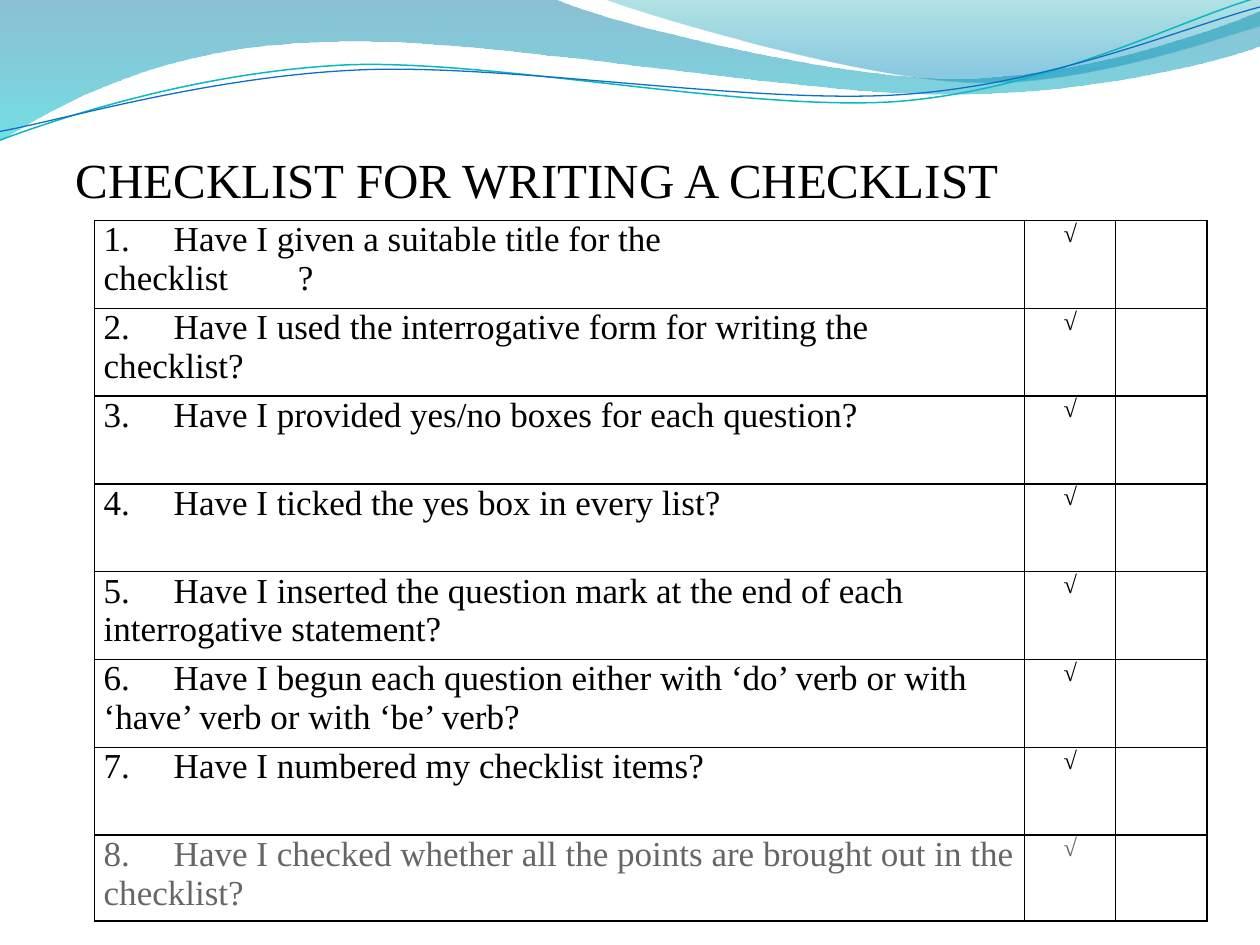
import dataclasses
import pptx
import pptx.dml.color
import pptx.enum.text
import pptx.oxml
import pptx.oxml.ns
import pptx.util

Pt = pptx.util.Pt
qn = pptx.oxml.ns.qn
Align = pptx.enum.text.PP_ALIGN
Anchor = pptx.enum.text.MSO_ANCHOR


@dataclasses.dataclass(frozen=True)
class Theme:
    face: str = "Times New Roman"
    ink: str = "000000"
    grey: str = "666666"
    paper: str = "FFFFFF"
    teal: str = "0AB8BF"
    blue: str = "0F6FC6"
    back: tuple = ((0, "0074A1", 45), (1, "00C6CF", 55))
    front: tuple = ((0, "00A1A9", 30), (0.8, "008BBF", 45))
    head: int = 28
    body: int = 20
    tick: int = 14


THEME = Theme()
ITEMS = [
    ("Have I given a suitable title for the checklist\t?", 165),
    ("Have I used the interrogative form for writing the checklist?", 30),
    ("Have I provided yes/no boxes for each question?", 5),
    ("Have I ticked the yes box in every list?", 5),
    ("Have I inserted the question mark at the end of each interrogative statement?", 5),
    ("Have I begun each question either with ‘do’ verb or with ‘have’ verb or with ‘be’ verb?", 5),
    ("Have I numbered my checklist items?", 5),
    ("Have I checked whether all the points are brought out in the checklist?", 5),
]
BACK = [(0, 0), (317, -0.7), (343, 12, 478, 45, 546, 45),
        (614, 45, 690, 19, 720, 6.5), (721, 26),
        (708, 32, 626, 55, 537, 54), (448, 54, 275, 20, 185, 24),
        (93, 26, 33, 60, -0.7, 81)]
FRONT = [(345, -0.7), (366, 8, 491, 45, 554, 47),
         (616, 50, 692, 23, 720, 15), (720, 0)]
HIGH = [(-1.4, 63.1), (34.2, 51.7, 114.3, 29.4, 199.4, 29.5),
        (284.4, 30.5, 425.8, 67.2, 512, 65.2),
        (599.2, 62.3, 676, 25.9, 720.6, 15.5)]
LOW = [(-1.1, 58.1), (33.2, 53.7, 118.2, 32.6, 204.3, 32.7),
       (290.4, 32.7, 429.1, 63.3, 515.3, 61.4),
       (601.4, 59.4, 678.9, 30, 721.4, 21)]


def tint(code):
    return pptx.dml.color.RGBColor.from_string(code)


def put(thing, values):
    for name, value in values.items():
        setattr(thing, name, value)


def draw(slide, parts, close):
    dots = [(Pt(x), Pt(y)) for part in parts
            for x, y in zip(part[::2], part[1::2])]
    pen = slide.shapes.build_freeform(*dots[0])
    pen.add_line_segments(dots[1:], close=close)
    shape = pen.convert_to_shape()
    shape.shadow.inherit = False
    lines = iter(list(shape._element.iter(qn("a:lnTo"))))
    for part in parts[1:]:
        first = next(lines)
        if len(part) == 6:
            first.tag = qn("a:cubicBezTo")
            for line in (next(lines), next(lines)):
                first.append(line[0])
                line.getparent().remove(line)
    return shape


def add_wave(slide, parts, stops):
    shape = draw(slide, parts, True)
    shape.line.fill.background()
    shape.fill.gradient()
    shape.fill.gradient_angle = 270
    for stop, (place, code, alpha) in zip(shape.fill.gradient_stops, stops):
        stop.position = place
        stop.color.rgb = tint(code)
    marks = list(shape._element.spPr.iter(qn("a:srgbClr")))
    for mark, (place, code, alpha) in zip(marks, stops):
        mark.append(mark.makeelement(qn("a:alpha"), {"val": str(alpha * 1000)}))


def add_curve(slide, parts, code, width):
    shape = draw(slide, parts, False)
    shape.rotation = 357.3
    shape.fill.background()
    shape.line.color.rgb = tint(code)
    shape.line.width = Pt(width)


def write(frame, text, size, code, align=Align.LEFT):
    para = frame.paragraphs[0]
    put(para, {"text": text, "alignment": align})
    for run in para.runs:
        put(run.font, {"name": THEME.face, "size": Pt(size), "bold": False})
        run.font.color.rgb = tint(code)
    return para


def set_tabs(para, *stops):
    space = pptx.oxml.ns.nsdecls("a")
    tabs = "".join(f'<a:tab pos="{Pt(stop)}" algn="l"/>' for stop in stops)
    para._p.get_or_add_pPr().append(
        pptx.oxml.parse_xml(f"<a:tabLst {space}>{tabs}</a:tabLst>"))


def style_cell(cell):
    put(cell, {"margin_left": Pt(5.3), "margin_right": Pt(5),
               "margin_top": 0, "margin_bottom": 0})
    cell.fill.solid()
    cell.fill.fore_color.rgb = tint(THEME.paper)
    space = pptx.oxml.ns.nsdecls("a")
    for spot, side in enumerate("LRTB"):
        edge = pptx.oxml.parse_xml(
            f'<a:ln{side} {space} w="{Pt(1)}"><a:solidFill>'
            f'<a:srgbClr val="{THEME.ink}"/></a:solidFill></a:ln{side}>')
        cell._tc.get_or_add_tcPr().insert(spot, edge)


def add_list(slide, items):
    widths, height = (531.4, 52.2, 52.2), 50.2
    table = slide.shapes.add_table(
        len(items), len(widths), Pt(54), Pt(126),
        Pt(sum(widths)), Pt(height * len(items))).table
    put(table, {"first_row": False, "horz_banding": False})
    for column, width in zip(table.columns, widths):
        column.width = Pt(width)
    for number, (row, (item, right)) in enumerate(zip(table.rows, items), 1):
        last = number == len(items)
        row.height = Pt(49 if last else height)
        code = THEME.grey if last else THEME.ink
        for cell in row.cells:
            style_cell(cell)
        query, mark = row.cells[0], row.cells[1]
        query.margin_right = Pt(right)
        para = write(query.text_frame, f"{number}.\t{item}", THEME.body, code)
        set_tabs(para, 40, 111)
        write(mark.text_frame, "√", THEME.tick, code, Align.CENTER)


def add_title(slide, text):
    title = slide.shapes.title
    put(title, {"left": Pt(36), "top": Pt(82),
                "width": Pt(684), "height": Pt(37.4)})
    put(title.text_frame, {
        "vertical_anchor": Anchor.MIDDLE, "word_wrap": True,
        "margin_left": Pt(7.2), "margin_right": Pt(7.2),
        "margin_top": Pt(3.6), "margin_bottom": 0})
    write(title.text_frame, text, THEME.head, THEME.ink)
    slide.shapes._spTree.append(title._element)


def main():
    deck = pptx.Presentation()
    put(deck, {"slide_width": Pt(720), "slide_height": Pt(540)})
    slide = deck.slides.add_slide(deck.slide_layouts[5])
    add_wave(slide, BACK, THEME.back)
    add_wave(slide, FRONT, THEME.front)
    add_curve(slide, HIGH, THEME.teal, 0.85)
    add_curve(slide, LOW, THEME.blue, 0.75)
    add_list(slide, ITEMS)
    add_title(slide, "CHECKLIST FOR WRITING A CHECKLIST")
    deck.save("out.pptx")


if __name__ == "__main__":
    main()
